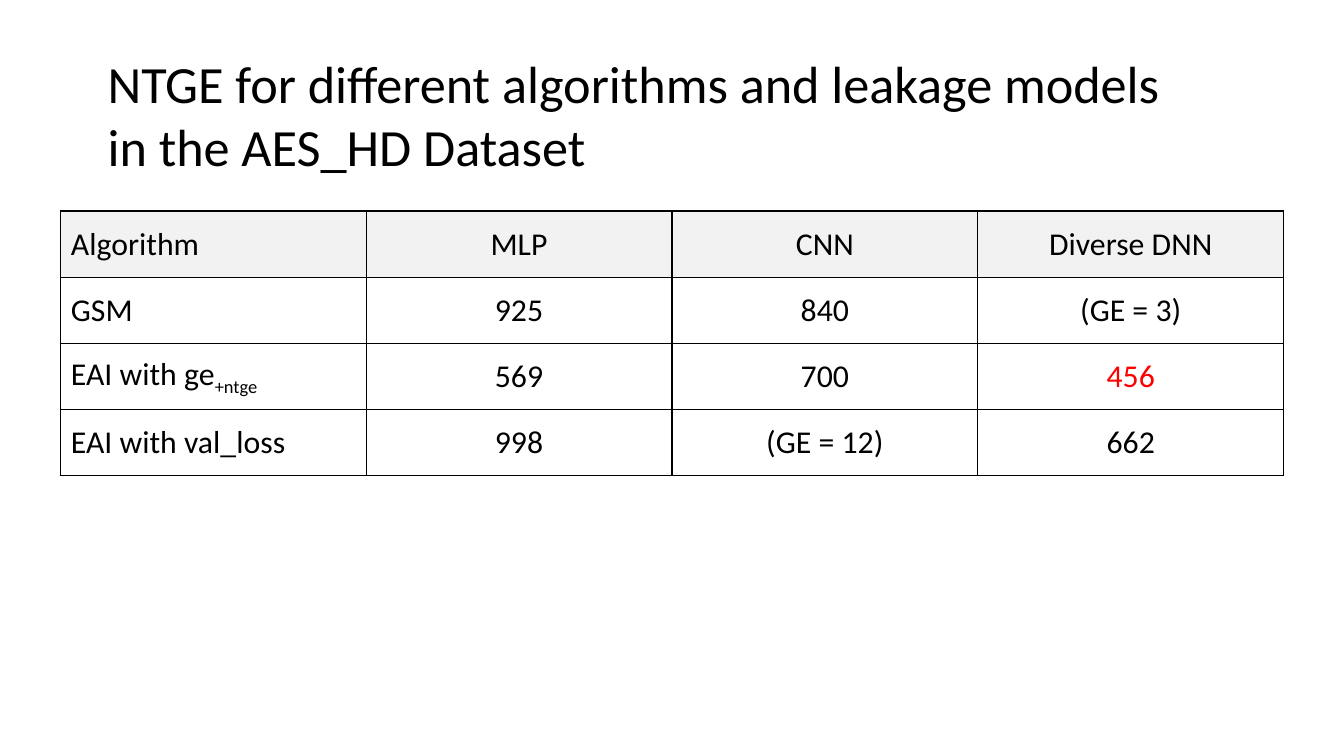
from pptx import Presentation
from pptx.dml.color import RGBColor
from pptx.enum.text import MSO_ANCHOR, MSO_AUTO_SIZE, PP_ALIGN
from pptx.oxml import parse_xml
from pptx.oxml.ns import nsdecls
from pptx.util import Cm, Pt

LEFT, CENTER = PP_ALIGN.LEFT, PP_ALIGN.CENTER
TOP, MIDDLE = MSO_ANCHOR.TOP, MSO_ANCHOR.MIDDLE
NO_FIT = MSO_AUTO_SIZE.NONE

TITLE = ["NTGE for different algorithms and leakage models", "in the AES_HD Dataset"]
ROWS = [
    ["Algorithm", "MLP", "CNN", "Diverse DNN"],
    ["GSM", "925", "840", "(GE = 3)"],
    ["EAI with ge", "569", "700", "456"],
    ["EAI with val_loss", "998", "(GE = 12)", "662"],
]
SUBSCRIPTS = {"EAI with ge": "+ntge"}
BEST = "456"

THEME = {
    "font": "Calibri",
    "title_size": 28,
    "cell_size": 17,
    "border_width": 0.75,
    "text": "000000",
    "best": "FF0000",
    "border": "000000",
    "header": "F2F2F2",
}
TITLE_BOX = {"left": Cm(1.78), "top": Cm(0.84), "width": Cm(22.48), "height": Cm(2.64)}
TITLE_FRAME = {"word_wrap": True, "auto_size": NO_FIT, "vertical_anchor": TOP}
CELL_FORMAT = {"vertical_anchor": MIDDLE, "margin_left": Cm(0.2), "margin_right": Cm(0.2),
               "margin_top": Cm(0.2), "margin_bottom": Cm(0.2)}
TABLE_LEFT, TABLE_TOP = Cm(1.14), Cm(3.99)
COL_WIDTH, ROW_HEIGHT = Cm(5.78), Cm(1.25)


def apply(obj, values):
    for name, value in values.items():
        setattr(obj, name, value)


def add_run(p, text, size, color=THEME["text"]):
    r = p.add_run()
    r.text = text
    apply(r.font, {"name": THEME["font"], "size": Pt(size), "bold": False})
    r.font.color.rgb = RGBColor.from_string(color)
    return r


def add_borders(cell):
    props = cell._tc.get_or_add_tcPr()
    for i, side in enumerate(("lnL", "lnR", "lnT", "lnB")):
        props.insert(i, parse_xml(
            f'<a:{side} {nsdecls("a")} w="{Pt(THEME["border_width"])}"><a:solidFill>'
            f'<a:srgbClr val="{THEME["border"]}"/></a:solidFill></a:{side}>'))


def add_title(s):
    title = s.shapes.title
    apply(title, TITLE_BOX)
    tf = title.text_frame
    apply(tf, TITLE_FRAME)
    for i, line in enumerate(TITLE):
        p = tf.add_paragraph() if i else tf.paragraphs[0]
        p.alignment = LEFT
        add_run(p, line, THEME["title_size"])


def fill_cell(cell, text, is_header, is_label):
    apply(cell, CELL_FORMAT)
    if is_header:
        cell.fill.solid()
        cell.fill.fore_color.rgb = RGBColor.from_string(THEME["header"])
    else:
        cell.fill.background()
    add_borders(cell)
    p = cell.text_frame.paragraphs[0]
    p.alignment = LEFT if is_label else CENTER
    add_run(p, text, THEME["cell_size"], THEME["best" if text == BEST else "text"])
    if text in SUBSCRIPTS:
        r = add_run(p, SUBSCRIPTS[text], THEME["cell_size"])
        r.font._element.set("baseline", "-25000")


def add_results(s):
    n_rows, n_cols = len(ROWS), len(ROWS[0])
    table = s.shapes.add_table(n_rows, n_cols, TABLE_LEFT, TABLE_TOP,
                               COL_WIDTH * n_cols, ROW_HEIGHT * n_rows).table
    apply(table, {"first_row": False, "horz_banding": False})
    for column in table.columns:
        column.width = COL_WIDTH
    for i, values in enumerate(ROWS):
        table.rows[i].height = ROW_HEIGHT
        for j, text in enumerate(values):
            fill_cell(table.cell(i, j), text, i == 0, j == 0)


def main():
    prs = Presentation()
    apply(prs, {"slide_width": Cm(25.4), "slide_height": Cm(14.29)})
    s = prs.slides.add_slide(prs.slide_layouts.get_by_name("Title Only"))
    add_results(s)
    add_title(s)
    prs.save("out.pptx")


if __name__ == "__main__":
    main()
